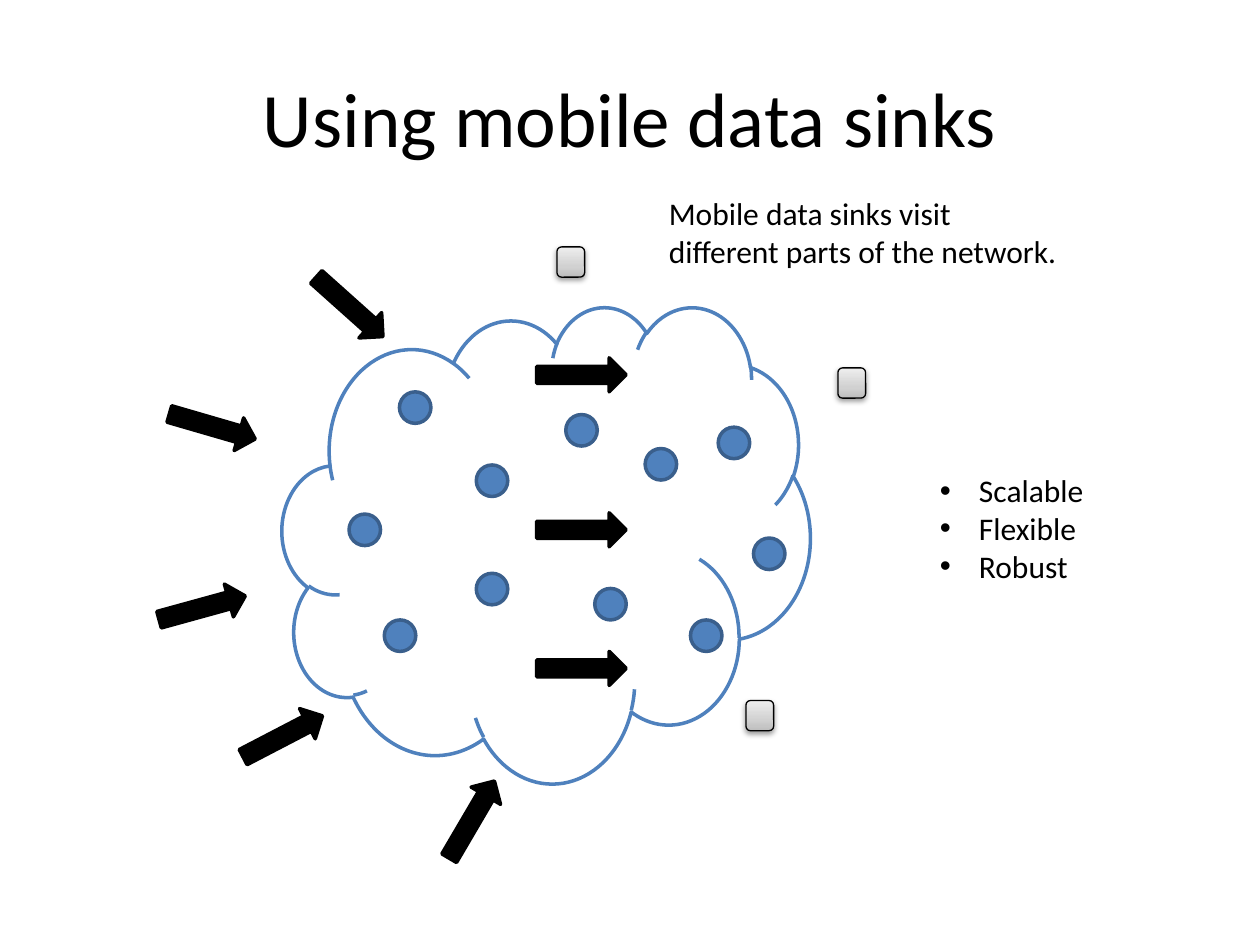
"""Build the slide on mobile data sinks moving around a sensor network."""
from copy import deepcopy
from dataclasses import dataclass

from lxml.etree import SubElement
from pptx import Presentation
from pptx.dml.color import RGBColor
from pptx.enum.shapes import MSO_SHAPE as SHAPE
from pptx.enum.text import MSO_ANCHOR as ANCHOR, PP_ALIGN as ALIGN
from pptx.oxml.ns import qn
from pptx.util import Inches, Pt


@dataclass(frozen=True)
class Theme:
    font: str = "Calibri"
    title_size: int = 44
    text_size: int = 18
    ink: str = "000000"
    paper: str = "FFFFFF"
    node: str = "4F81BD"
    node_edge: str = "3A5F8C"
    sink: tuple = ((0, "BDBDBD"), (0.35, "D1D1D1"), (1, "EEEEEE"))


THEME = Theme()
TITLE = "Using mobile data sinks"
NOTE = "Mobile data sinks visit different parts of the network."
BENEFITS = ["Scalable", "Flexible", "Robust"]

TITLE_BOX = (0.5, 0.3, 9, 1.25)
NOTE_BOX = (5.21, 1.49, 3.34, 0.71)
BENEFITS_BOX = (7.36, 3.69, 1.36, 1.01)
NETWORK_BOX = (2.24, 2.43, 4.19, 3.78)
NODE_SIZE = (0.25, 0.25)
ARROW_SIZE = (0.71, 0.27)
SINK_SIZE = (0.22, 0.24)

NODES = [(3.17, 3.11), (4.49, 3.29), (2.77, 4.08), (5.7, 3.39), (3.78, 4.55),
         (4.72, 4.67), (3.05, 4.92), (3.78, 3.69), (5.98, 4.27), (5.48, 4.92),
         (5.12, 3.56)]
FLOWS = [(4.26, top, 0) for top in (2.84, 4.07, 5.17)]
INFLOWS = [(2.42, 2.3, 41.8), (1.89, 5.71, 332.5), (1.33, 3.25, 16.2),
           (1.25, 4.69, 344.6), (3.39, 6.37, 300.4)]
SINKS = [(6.65, 2.92), (5.92, 5.56), (4.42, 1.96)]


def rgb(value):
    return RGBColor.from_string(value)


def place(shape, box):
    for side, length in zip(("left", "top", "width", "height"), box):
        setattr(shape, side, Inches(length))


def draw(slide, kind, box, fill, edge, weight=2, rotation=0):
    shape = slide.shapes.add_shape(kind, *map(Inches, box))
    shape.shadow.inherit = False
    shape.rotation = rotation
    shape.fill.solid()
    shape.fill.fore_color.rgb = rgb(fill)
    shape.line.color.rgb = rgb(edge)
    shape.line.width = Pt(weight)
    return shape


def shade_sink(sink):
    sink.fill.gradient()
    sink.fill.gradient_angle = 90
    properties = sink._element.spPr
    stops = properties.find(qn("a:gradFill")).find(qn("a:gsLst"))
    stops.insert(1, deepcopy(stops[0]))
    for stop, (position, color) in zip(sink.fill.gradient_stops, THEME.sink):
        stop.position = position
        stop.color.rgb = rgb(color)
    shadow = SubElement(properties.find(qn("a:effectLst")), qn("a:outerShdw"),
                        blurRad=str(Pt(3.1)), dist=str(Pt(1.6)),
                        dir="5400000", rotWithShape="0")
    color = SubElement(shadow, qn("a:srgbClr"), val=THEME.ink)
    SubElement(color, qn("a:alpha"), val="38000")


def write(shape, box, lines, size, align=ALIGN.LEFT, anchor=ANCHOR.TOP,
          wrap=True, bullets=False):
    place(shape, box)
    frame = shape.text_frame
    frame.text = "\n".join(lines)
    frame.word_wrap = wrap
    frame.vertical_anchor = anchor
    look = {"name": THEME.font, "size": Pt(size)}
    for paragraph in frame.paragraphs:
        if bullets:
            settings = paragraph._p.get_or_add_pPr()
            settings.set("marL", str(Inches(0.31)))
            settings.set("indent", str(-Inches(0.31)))
            SubElement(settings, qn("a:buFont"), typeface="Arial")
            SubElement(settings, qn("a:buChar"), char="•")
        paragraph.alignment = align
        paragraph.space_before = Pt(0)
        for key, value in look.items():
            setattr(paragraph.font, key, value)
        paragraph.font.color.rgb = rgb(THEME.ink)


def main():
    deck = Presentation()
    deck.slide_width, deck.slide_height = Inches(10), Inches(7.5)
    slide = deck.slides.add_slide(deck.slide_layouts[1])
    write(slide.shapes.title, TITLE_BOX, [TITLE], THEME.title_size,
          ALIGN.CENTER, ANCHOR.MIDDLE)
    write(slide.placeholders[1], BENEFITS_BOX, BENEFITS, THEME.text_size,
          wrap=False, bullets=True)

    draw(slide, SHAPE.CLOUD, NETWORK_BOX, THEME.paper, THEME.node)
    for spot in NODES:
        draw(slide, SHAPE.FLOWCHART_CONNECTOR, spot + NODE_SIZE,
             THEME.node, THEME.node_edge)
    for left, top, turn in FLOWS + INFLOWS:
        draw(slide, SHAPE.RIGHT_ARROW, (left, top) + ARROW_SIZE,
             THEME.ink, THEME.ink, rotation=turn)
    for spot in SINKS:
        shade_sink(draw(slide, SHAPE.ROUNDED_RECTANGLE, spot + SINK_SIZE,
                        THEME.paper, THEME.ink, weight=0.75))

    note = slide.shapes.add_textbox(*map(Inches, NOTE_BOX))
    write(note, NOTE_BOX, [NOTE], THEME.text_size)
    deck.save("out.pptx")


if __name__ == "__main__":
    main()
